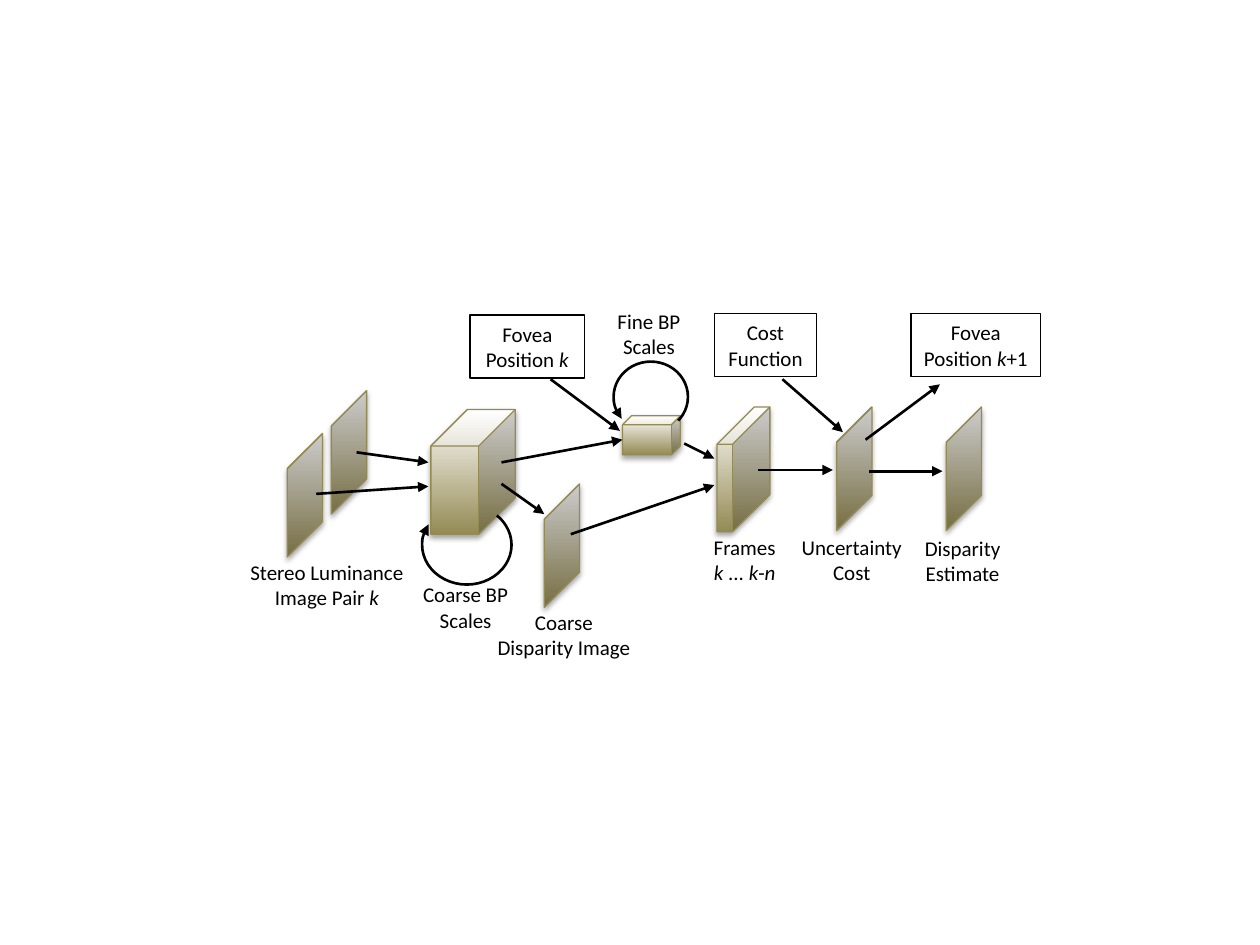
import pptx
import pptx.dml.color
import pptx.enum.shapes
import pptx.enum.text
import pptx.oxml
import pptx.oxml.ns
import pptx.util

SHAPES = pptx.enum.shapes.MSO_SHAPE
UNIT = 0.1  # inches per grid column and row
LABEL_ROWS = 5
NS = pptx.oxml.ns.nsdecls("a")


def color(hex_value):
    """Turn a hex string into a colour."""
    return pptx.dml.color.RGBColor.from_string(hex_value)


def grid(*cells):
    """Turn grid columns or rows into lengths."""
    return [pptx.util.Inches(cell * UNIT) for cell in cells]


def write(frame, text, font="Calibri", size=12, ink="000000", wrap=True):
    """Write centred lines into a frame; parts between asterisks are italic."""
    frame.word_wrap = wrap
    frame.auto_size = pptx.enum.text.MSO_AUTO_SIZE.SHAPE_TO_FIT_TEXT
    for number, line in enumerate(text.split("\n")):
        paragraph = frame.add_paragraph() if number else frame.paragraphs[0]
        paragraph.alignment = pptx.enum.text.PP_ALIGN.CENTER
        for part, words in enumerate(line.split("*")):
            if words:
                run = paragraph.add_run()
                run.text = words
                run.font.name = font
                run.font.size = pptx.util.Pt(size)
                run.font.italic = part % 2 == 1
                run.font.color.rgb = color(ink)


class Diagram:
    """Holds the style and the slide of the flow diagram."""

    ink, olive, light = "000000", "948A54", "FFFFFF"
    thin, thick = 0.75, 1.5

    def __init__(self, slide):
        """Keep the slide to draw on."""
        self.slide = slide

    def outline(self, item, hue, width):
        """Set the line of a shape or connector."""
        item.line.color.rgb = color(hue)
        item.line.width = pptx.util.Pt(width)

    def arrowhead(self, item, end):
        """Add a triangle at headEnd or tailEnd of a line."""
        item.line._get_or_add_ln().append(
            pptx.oxml.parse_xml(f'<a:{end} {NS} type="triangle"/>'))

    def shape(self, kind, place, hue, width, adjustments=()):
        """Add an unfilled preset shape without a shadow."""
        item = self.slide.shapes.add_shape(kind, *grid(*place))
        item.shadow.inherit = False
        item.fill.background()
        self.outline(item, hue, width)
        for index, value in enumerate(adjustments):
            item.adjustments[index] = value
        return item

    def block(self, left, top, width=2.8, height=9.8, depth=1):
        """Add a shaded cube; at full depth it is a slanted plane."""
        cube = self.shape(SHAPES.CUBE, (left, top, width, height),
                          self.olive, self.thin, [depth])
        cube.fill.gradient()
        cube.fill.gradient_angle = 90
        for stop, hue in zip(cube.fill.gradient_stops, (self.olive, self.light)):
            stop.color.rgb = color(hue)
        effects = cube._element.spPr.find(pptx.oxml.ns.qn("a:effectLst"))
        effects.append(pptx.oxml.parse_xml(
            f'<a:outerShdw {NS} blurRad="39370" dist="22860" dir="5400000" rotWithShape="0">'
            '<a:srgbClr val="000000"><a:alpha val="35000"/></a:srgbClr></a:outerShdw>'))

    def loop(self, place, angles, flipped=False):
        """Add a circular arrow with its head at the start."""
        arc = self.shape(SHAPES.ARC, place, self.ink, self.thick, angles)
        self.arrowhead(arc, "headEnd")
        if flipped:
            arc._element.spPr.xfrm.set("flipV", "1")

    def label(self, left, top, width, text, **style):
        """Add a caption."""
        caption = self.slide.shapes.add_textbox(*grid(left, top, width, LABEL_ROWS))
        write(caption.text_frame, text, **style)

    def box(self, left, top, width, text):
        """Add a framed caption."""
        frame = self.shape(SHAPES.RECTANGLE, (left, top, width, LABEL_ROWS),
                           self.ink, self.thin)
        write(frame.text_frame, text)

    def arrow(self, *ends):
        """Add a straight arrow from the first point to the second."""
        flow = self.slide.shapes.add_connector(
            pptx.enum.shapes.MSO_CONNECTOR.STRAIGHT, *grid(*ends))
        self.outline(flow, self.ink, self.thick)
        self.arrowhead(flow, "tailEnd")
        flow._element.spPr.append(pptx.oxml.parse_xml(f"<a:effectLst {NS}/>"))


def build():
    """Draw the stereo disparity flow and save it."""
    deck = pptx.Presentation()
    deck.slide_width, deck.slide_height = grid(100, 75)
    diagram = Diagram(deck.slides.add_slide(deck.slide_layouts[6]))

    frames = (56.9, 32.3, 4.2, 9.9, 0.705)
    coarse_scales = (34.2, 32.5, 6.7, 9.9, 0.433)
    fine_scales = (49.4, 33, 4.6, 3.1, 0.23)
    stereo_pair = [(22.8, 34.4), (26.3, 31)]
    coarse_disparity, uncertainty, estimate = (43.2, 38.4), (66.4, 32.3), (75.1, 32.3)
    for place in (frames, coarse_scales, fine_scales, *stereo_pair,
                  coarse_disparity, uncertainty, estimate):
        diagram.block(*place)

    diagram.loop((33.5, 40.1, 7.1, 6.3), (91.134, 26.634), flipped=True)
    diagram.loop((48.7, 28.7, 5.9, 5.6), (85.799, 24.608))

    diagram.label(32.5, 45.7, 8.9, "Coarse BP\nScales", wrap=False)
    for caption in (
        (18.8, 43.9, 14.3, "Stereo Luminance Image Pair *k*"),
        (46.9, 24, 9.2, "Fine BP Scales"),
        (38.2, 47.9, 13.1, "Coarse\nDisparity Image"),
        (55.5, 41.9, 7.2, "Frames *k* ... *k*-*n*"),
        (62.4, 41.9, 10.4, "Uncertainty Cost"),
        (71.2, 42, 10.4, "Disparity Estimate"),
    ):
        diagram.label(*caption)

    for framed in (
        (37.3, 25, 9.1, "Fovea Position *k*"),
        (56.7, 24.9, 8.1, "Cost Function"),
        (72.3, 24.9, 10.3, "Fovea Position *k*+1"),
    ):
        diagram.box(*framed)

    for ends in (
        (28.3, 35.9, 34, 36.7),
        (25.1, 39.2, 34, 38.6),
        (39.8, 38.4, 43.2, 40.8),
        (39.8, 36.7, 49.4, 34.9),
        (60.2, 37.3, 66.1, 37.3),
        (69, 37.4, 74.8, 37.4),
        (62.1, 30.1, 66.9, 34.3),
        (68.7, 34.9, 74.6, 30.5),
        (54.3, 35.2, 56.7, 36.4),
        (45.3, 42.4, 56.7, 38.5),
        (43.7, 30.1, 49.2, 34.2),
    ):
        diagram.arrow(*ends)

    deck.save("out.pptx")


build()
